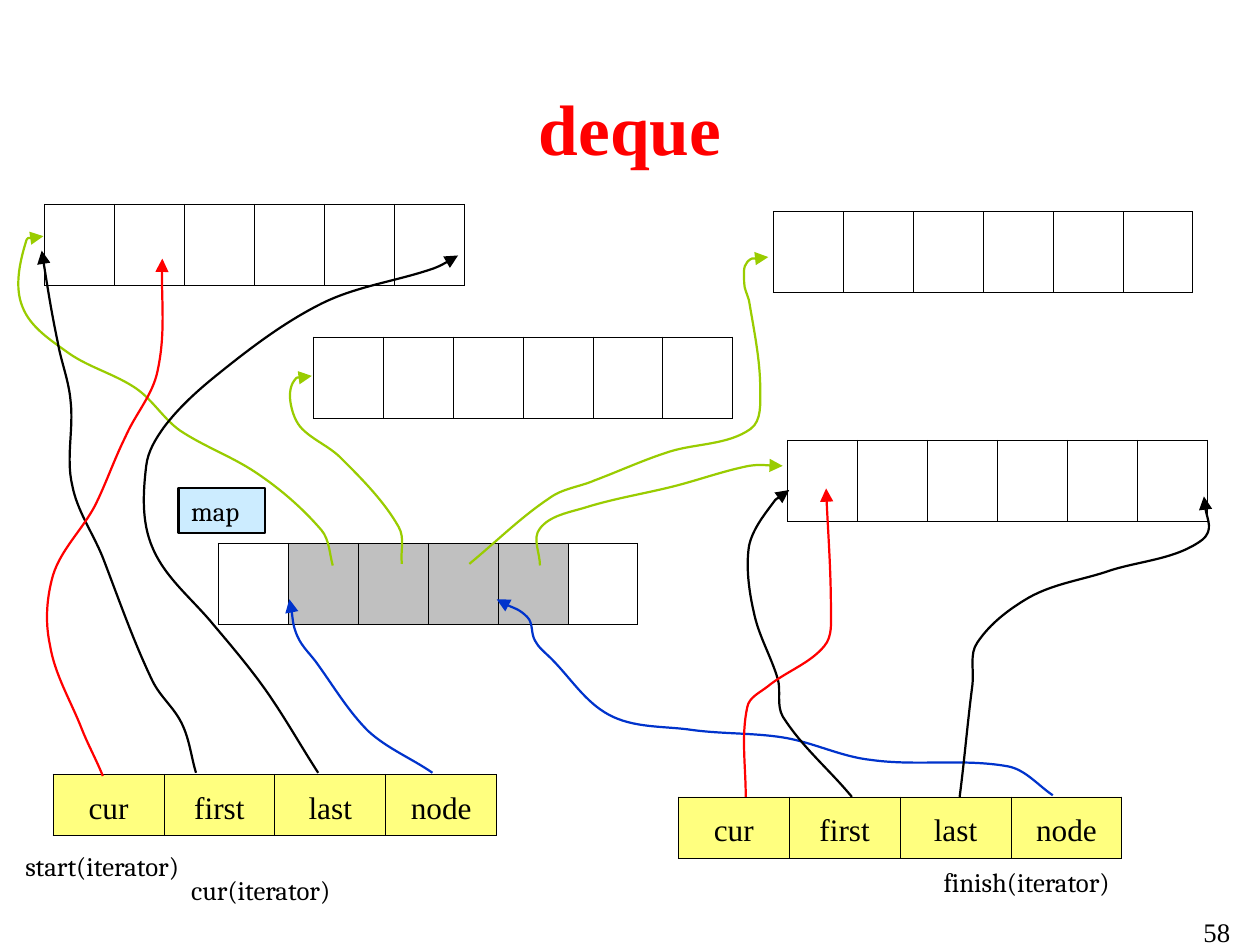
from dataclasses import dataclass
from math import dist

from lxml.etree import SubElement
from pptx import Presentation
from pptx.dml.color import RGBColor
from pptx.enum.shapes import MSO_SHAPE as Preset
from pptx.enum.text import MSO_ANCHOR as Anchor, MSO_AUTO_SIZE as AutoSize, PP_ALIGN as Align
from pptx.oxml.ns import qn
from pptx.util import Cm, Pt

BLACK = RGBColor(0x00, 0x00, 0x00)
RED = RGBColor(0xFF, 0x00, 0x00)
BLUE = RGBColor(0x00, 0x33, 0xCC)
GREEN = RGBColor(0x99, 0xCC, 0x00)
YELLOW = RGBColor(0xFF, 0xFF, 0x00)
GRAY = RGBColor(0xC0, 0xC0, 0xC0)
PALE_BLUE = RGBColor(0xCC, 0xEC, 0xFF)

SERIF = "Times New Roman"
CURVE_UNIT = Cm(2.54) / 100  # curve points are in hundredths of an inch

FRAME = {"word_wrap": True, "margin_left": Cm(0.2), "margin_right": Cm(0.2),
         "margin_top": Cm(0.1), "margin_bottom": Cm(0.1)}
GROWING_FRAME = FRAME | {"auto_size": AutoSize.SHAPE_TO_FIT_TEXT}
TITLE_FRAME = GROWING_FRAME | {"vertical_anchor": Anchor.MIDDLE}
MAP_FRAME = GROWING_FRAME | {"vertical_anchor": Anchor.TOP}
TITLE_FONT = {"name": SERIF, "size": Pt(32), "bold": True}
NUMBER_FONT = {"name": SERIF, "size": Pt(12)}
CELL_FONT = {"name": SERIF, "size": Pt(14)}
LABEL_FONT = {"name": "Cambria", "size": Pt(12)}
CELL_FORMAT = {"vertical_anchor": Anchor.MIDDLE, "margin_left": Cm(0.2),
               "margin_right": Cm(0.2), "margin_top": Cm(0.13), "margin_bottom": Cm(0.13)}

Point = tuple[float, float]


@dataclass
class Strip:
    """A one-row table of equal cells."""
    left: float
    top: float
    width: float
    height: float
    texts: tuple[str, ...]
    fills: tuple[RGBColor | None, ...]
    alpha: int = 100


@dataclass
class Label:
    text: str
    left: float
    top: float
    width: float
    height: float


@dataclass
class Pointer:
    """An arrow drawn as a smooth curve through its points."""
    color: RGBColor
    points: tuple[Point, ...]


def buffer(left: float, top: float, fills: tuple = (None,) * 6) -> Strip:
    return Strip(left, top, 6.63, 1.28, ("",) * 6, fills)


def iterator(left: float, top: float) -> Strip:
    return Strip(left, top, 7.01, 0.97, ("cur", "first", "last", "node"), (YELLOW,) * 4, 50)


STRIPS = (
    buffer(4.95, 5.33), buffer(0.71, 3.23), buffer(12.22, 3.35), buffer(12.45, 6.96),
    iterator(0.84, 12.24), iterator(10.72, 12.6),
    buffer(3.45, 8.59, (None, GRAY, GRAY, GRAY, GRAY, None)),
)

POINTERS = (
    # Iterator nodes to the map
    Pointer(BLUE, ((655, 495), (627, 477), (542, 473), (487, 459), (428, 454), (379, 445),
                   (343, 410), (333, 399), (328, 384), (309, 373))),
    Pointer(BLUE, ((269, 481), (229, 455), (198, 414), (185, 396), (180, 373))),
    # Map cells to the buffers
    Pointer(GREEN, ((207, 352), (200, 330), (159, 294), (112, 268), (85, 242), (43, 220),
                    (14, 191), (16, 151), (27, 147))),
    Pointer(GREEN, ((250, 351), (248, 328), (212, 285), (188, 267), (181, 252), (183, 237),
                    (194, 234))),
    Pointer(GREEN, ((292, 351), (342, 310), (370, 299), (417, 281), (467, 267), (473, 242),
                    (466, 187), (463, 176), (465, 163), (478, 160))),
    Pointer(GREEN, ((336, 352), (336, 329), (364, 316), (422, 302), (466, 290), (487, 290))),
    # Iterator first and last to the buffer ends
    Pointer(BLACK, ((122, 481), (113, 450), (95, 424), (64, 347), (45, 302), (44, 250),
                    (36, 213), (26, 156))),
    Pointer(BLACK, ((198, 481), (165, 429), (133, 389), (95, 341), (91, 290), (102, 266),
                    (133, 235), (200, 189), (270, 167), (285, 159))),
    Pointer(BLACK, ((530, 496), (487, 446), (484, 423), (469, 381), (466, 340), (481, 313),
                    (491, 305))),
    Pointer(BLACK, ((597, 496), (605, 426), (608, 400), (640, 372), (691, 355), (748, 336),
                    (749, 309))),
    # Iterator cur to the current elements
    Pointer(RED, ((64, 483), (51, 454), (31, 401), (33, 358), (59, 315), (78, 272), (98, 231),
                  (101, 161))),
    Pointer(RED, ((464, 496), (465, 440), (478, 427), (513, 402), (517, 380), (514, 304))),
)

LABELS = (
    Label("start(iterator)", 0.2, 13.34, 3, 1.22),
    Label("finish(iterator)", 14.71, 13.59, 4.24, 0.71),
    Label("cur(iterator)", 2.82, 13.72, 3, 0.71),
)
MAP_LABEL = Label("map", 2.82, 7.72, 1.37, 0.71)
NUMBER_LABEL = Label("58", 14.66, 14.38, 4.98, 1.04)
TITLE_LABEL = Label("deque", 0.66, 1.22, 18.59, 1.57)


def apply_format(target, values: dict) -> None:
    for name, value in values.items():
        setattr(target, name, value)


def box(item: Strip | Label) -> tuple[int, ...]:
    return Cm(item.left), Cm(item.top), Cm(item.width), Cm(item.height)


def write(frame, text: str, font: dict, color: RGBColor = BLACK, **paragraph_format) -> None:
    paragraph = frame.paragraphs[0]
    apply_format(paragraph, paragraph_format)
    run = paragraph.add_run()
    run.text = text
    apply_format(run.font, font)
    run.font.color.rgb = color


def add_title(slide, label: Label) -> None:
    title = slide.shapes.title
    apply_format(title, dict(zip(("left", "top", "width", "height"), box(label))))
    apply_format(title.text_frame, TITLE_FRAME)
    write(title.text_frame, label.text, TITLE_FONT, RED, alignment=Align.CENTER)


def add_label(slide, label: Label, font: dict, frame_format: dict, align: Align) -> None:
    shape = slide.shapes.add_textbox(*box(label))
    apply_format(shape.text_frame, frame_format)
    write(shape.text_frame, label.text, font, alignment=align)


def add_borders(cell) -> None:
    properties = cell._tc.get_or_add_tcPr()
    for side in ("lnL", "lnR", "lnT", "lnB"):
        line = SubElement(properties, qn(f"a:{side}"), w=str(Pt(0.45)))
        fill = SubElement(line, qn("a:solidFill"))
        SubElement(fill, qn("a:srgbClr"), val=str(BLACK))


def add_strip(slide, strip: Strip) -> None:
    count = len(strip.texts)
    table = slide.shapes.add_table(1, count, *box(strip)).table
    apply_format(table, {"first_row": False, "horz_banding": False})
    for cell, text, color in zip(table.iter_cells(), strip.texts, strip.fills):
        apply_format(cell, CELL_FORMAT)
        add_borders(cell)
        if color is None:
            cell.fill.background()
        else:
            cell.fill.solid()
            cell.fill.fore_color.rgb = color
            color_element = cell._tc.tcPr.find(f"{qn('a:solidFill')}/{qn('a:srgbClr')}")
            SubElement(color_element, qn("a:alpha"), val=str(strip.alpha * 1000))
        if text:
            write(cell.text_frame, text, CELL_FONT, alignment=Align.CENTER, line_spacing=1.2)


def smooth(points: tuple[Point, ...]) -> list[Point]:
    """Give two control points and the end point of each curve piece."""
    padded = (points[0], *points, points[-1])
    result = []
    for before, start, end, after in zip(padded, padded[1:], padded[2:], padded[3:]):
        reach = dist(start, end) / 3
        leave, arrive = reach / dist(before, end), reach / dist(start, after)
        result.append(tuple(s + (e - b) * leave for b, s, e in zip(before, start, end)))
        result.append(tuple(e - (a - s) * arrive for s, e, a in zip(start, end, after)))
        result.append(end)
    return result


def add_pointer(slide, pointer: Pointer) -> None:
    builder = slide.shapes.build_freeform(*pointer.points[0], scale=CURVE_UNIT)
    builder.add_line_segments(smooth(pointer.points), close=False)
    shape = builder.convert_to_shape()
    shape.shadow.inherit = False
    shape.fill.background()
    shape.line.color.rgb = pointer.color
    shape.line.width = Pt(1)
    SubElement(shape.line._get_or_add_ln(), qn("a:tailEnd"), type="triangle")
    # Turn every three straight pieces into one Bezier piece
    outline = next(shape._element.iter(qn("a:path")))
    pieces = outline.findall(qn("a:lnTo"))
    for index in range(0, len(pieces), 3):
        curve = SubElement(outline, qn("a:cubicBezTo"))
        for piece in pieces[index:index + 3]:
            curve.append(piece[0])
            outline.remove(piece)


def add_map_label(slide) -> None:
    shape = slide.shapes.add_shape(Preset.RECTANGLE, *box(MAP_LABEL))
    shape.shadow.inherit = False
    shape.fill.solid()
    shape.fill.fore_color.rgb = PALE_BLUE
    shape.line.color.rgb = BLACK
    shape.line.width = Pt(1)
    apply_format(shape.text_frame, MAP_FRAME)
    write(shape.text_frame, MAP_LABEL.text, LABEL_FONT, alignment=Align.LEFT)


def main() -> None:
    presentation = Presentation()
    apply_format(presentation, {"slide_width": Cm(19.91), "slide_height": Cm(14.94)})
    slide = presentation.slides.add_slide(presentation.slide_layouts[5])
    add_title(slide, TITLE_LABEL)
    add_label(slide, NUMBER_LABEL, NUMBER_FONT, FRAME, Align.RIGHT)
    # Buffers, iterators and map, with the arrows over them
    for strip in STRIPS:
        add_strip(slide, strip)
    for pointer in POINTERS:
        add_pointer(slide, pointer)
    # Captions
    for label in LABELS:
        add_label(slide, label, LABEL_FONT, GROWING_FRAME, Align.LEFT)
    add_map_label(slide)
    presentation.save("out.pptx")


if __name__ == "__main__":
    main()
